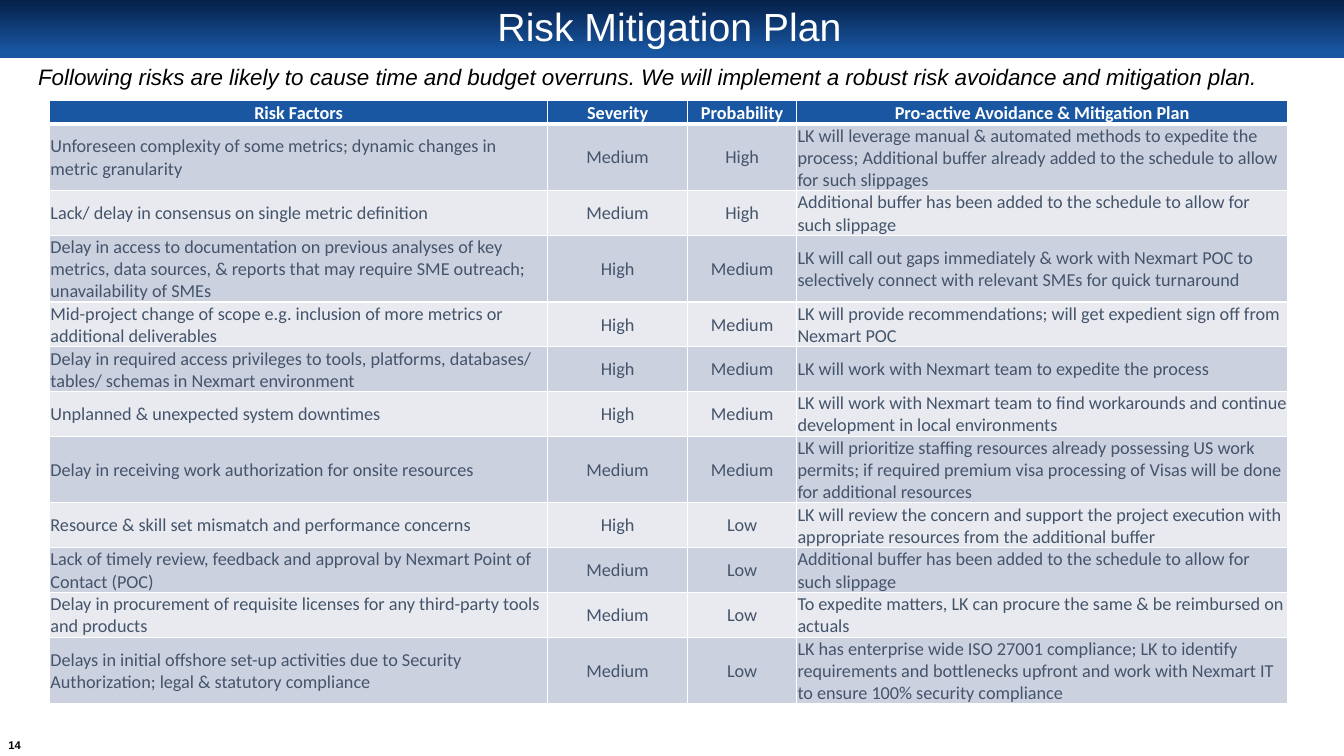
from lxml.etree import SubElement
from pptx import Presentation
from pptx.dml.color import RGBColor
from pptx.enum.shapes import MSO_SHAPE as Shape
from pptx.enum.text import MSO_ANCHOR as Anchor, PP_ALIGN as Align
from pptx.oxml.ns import qn
from pptx.util import Inches, Pt


def rgb(value):
    return RGBColor.from_string(value)


class Deck:
    """Holds the style and current slide; lengths are percentages of the slide size."""

    NAVY, BLUE, WHITE, BLACK, SLATE = "052049", "1957A3", "FFFFFF", "000000", "44546A"
    BANDS = "CCD1E0", "E8EAF0"
    HEADER_ROW, TEXT_LINE = 3.07, 2.93

    def __init__(self):
        self.prs = Presentation()
        self.prs.slide_width, self.prs.slide_height = Inches(13.33), Inches(7.5)
        self.s = self.prs.slides.add_slide(self.prs.slide_layouts[6])

    def x(self, share):
        return int(self.prs.slide_width * share / 100)

    def y(self, share):
        return int(self.prs.slide_height * share / 100)

    def box(self, left, top, width, height):
        return self.x(left), self.y(top), self.x(width), self.y(height)

    def fill_text(self, tf, text, align, color, **font):
        p = tf.paragraphs[0]
        p.alignment = align
        r = p.add_run()
        r.text = text
        for name, value in font.items():
            setattr(r.font, name, value)
        r.font.color.rgb = rgb(color)
        return p

    def band(self, *place):
        sp = self.s.shapes.add_shape(Shape.RECTANGLE, *self.box(*place))
        sp.shadow.inherit = False
        sp.line.fill.background()
        sp.fill.gradient()
        sp.fill.gradient_angle = 270
        for stop, position, color in zip(sp.fill.gradient_stops, (0, 0.9), (self.NAVY, self.BLUE)):
            stop.position = position
            stop.color.rgb = rgb(color)

    def text(self, place, text, frame, align=Align.LEFT, color=BLACK, **font):
        tf = self.s.shapes.add_textbox(*self.box(*place)).text_frame
        for name, value in ({"word_wrap": True} | frame).items():
            setattr(tf, name, value)
        return self.fill_text(tf, text, align, color, name="Arial", **font)

    def borders(self, cell, bottom):
        tc_pr = cell._tc.get_or_add_tcPr()
        for i, (side, width) in enumerate({"L": 1, "R": 1, "T": 1, "B": bottom}.items()):
            ln = SubElement(tc_pr, qn(f"a:ln{side}"), w=str(Pt(width)))
            fill = SubElement(ln, qn("a:solidFill"))
            SubElement(fill, qn("a:srgbClr"), val=self.WHITE)
            tc_pr.insert(i, ln)

    def cell(self, cell, text, fill, align, color, bold, bottom):
        edge = Inches(0.01)
        style = {"margin_left": edge, "margin_right": edge, "margin_top": edge,
                 "margin_bottom": 0, "vertical_anchor": Anchor.MIDDLE}
        for name, value in style.items():
            setattr(cell, name, value)
        cell.fill.solid()
        cell.fill.fore_color.rgb = rgb(fill)
        self.borders(cell, bottom)
        self.fill_text(cell.text_frame, text, align, color, name="Calibri", size=Pt(13), bold=bold)

    def table(self, left, top, widths, header, rows, line_counts):
        heights = [self.HEADER_ROW] + [self.TEXT_LINE * n for n in line_counts]
        place = self.box(left, top, sum(widths), sum(heights))
        table = self.s.shapes.add_table(len(heights), len(widths), *place).table
        for column, width in zip(table.columns, widths):
            column.width = self.x(width)
        for row, height in zip(table.rows, heights):
            row.height = self.y(height)
        for c, title in enumerate(header):
            self.cell(table.cell(0, c), title, self.BLUE, Align.CENTER, self.WHITE, True, 3)
        for r, row in enumerate(rows):
            for c, value in enumerate(row):
                align = Align.CENTER if c in (1, 2) else Align.LEFT
                self.cell(table.cell(r + 1, c), value, self.BANDS[r % 2], align, self.SLATE, False, 1)


HEADER = "Risk Factors", "Severity", "Probability", "Pro-active Avoidance & Mitigation Plan"
BUFFER = "Additional buffer has been added to the schedule to allow for such slippage"
RISKS = [
    ("Unforeseen complexity of some metrics; dynamic changes in metric granularity", "Medium", "High",
     "LK will leverage manual & automated methods to expedite the process; Additional buffer already "
     "added to the schedule to allow for such slippages"),
    ("Lack/ delay in consensus on single metric definition", "Medium", "High", BUFFER),
    ("Delay in access to documentation on previous analyses of key metrics, data sources, & reports "
     "that may require SME outreach; unavailability of SMEs", "High", "Medium",
     "LK will call out gaps immediately & work with Nexmart POC to selectively connect with relevant "
     "SMEs for quick turnaround"),
    ("Mid-project change of scope e.g. inclusion of more metrics or additional deliverables",
     "High", "Medium",
     "LK will provide recommendations; will get expedient sign off from Nexmart POC"),
    ("Delay in required access privileges to tools, platforms, databases/ tables/ schemas in Nexmart "
     "environment", "High", "Medium", "LK will work with Nexmart team to expedite the process"),
    ("Unplanned & unexpected system downtimes", "High", "Medium",
     "LK will work with Nexmart team to find workarounds and continue development in local environments"),
    ("Delay in receiving work authorization for onsite resources", "Medium", "Medium",
     "LK will prioritize staffing resources already possessing US work permits; if required premium "
     "visa processing of Visas will be done for additional resources"),
    ("Resource & skill set mismatch and performance concerns", "High", "Low",
     "LK will review the concern and support the project execution with appropriate resources from "
     "the additional buffer"),
    ("Lack of timely review, feedback and approval by Nexmart Point of Contact (POC)",
     "Medium", "Low", BUFFER),
    ("Delay in procurement of requisite licenses for any third-party tools and products",
     "Medium", "Low", "To expedite matters, LK can procure the same & be reimbursed on actuals"),
    ("Delays in initial offshore set-up activities due to Security Authorization; legal & statutory "
     "compliance", "Medium", "Low",
     "LK has enterprise wide ISO 27001 compliance; LK to identify requirements and bottlenecks upfront "
     "and work with Nexmart IT to ensure 100% security compliance"),
]
LINE_COUNTS = 3, 2, 3, 2, 2, 2, 3, 2, 2, 2, 3


def main():
    deck = Deck()
    middle = {"vertical_anchor": Anchor.MIDDLE}
    tight = {f"margin_{side}": 0 for side in ("left", "top", "right", "bottom")}
    deck.band(0, 0, 100, 7.73)
    deck.text((0.15, 97.33, 1.88, 2.53), "14", middle | tight | {"word_wrap": False},
              Align.CENTER, size=Pt(8), bold=True)
    title = deck.text((4.95, 0.8, 89.72, 6), "Risk Mitigation Plan", middle,
                      Align.CENTER, deck.WHITE, size=Pt(28))
    title.line_spacing = 0.9
    deck.table(3.68, 13.33, (37.06, 10.43, 8.1, 36.53), HEADER, RISKS, LINE_COUNTS)
    deck.text((2.1, 7.73, 95.12, 4.93),
              "Following risks are likely to cause time and budget overruns. "
              "We will implement a robust risk avoidance and mitigation plan.",
              {}, size=Pt(16), italic=True)
    deck.prs.save("out.pptx")


if __name__ == "__main__":
    main()
